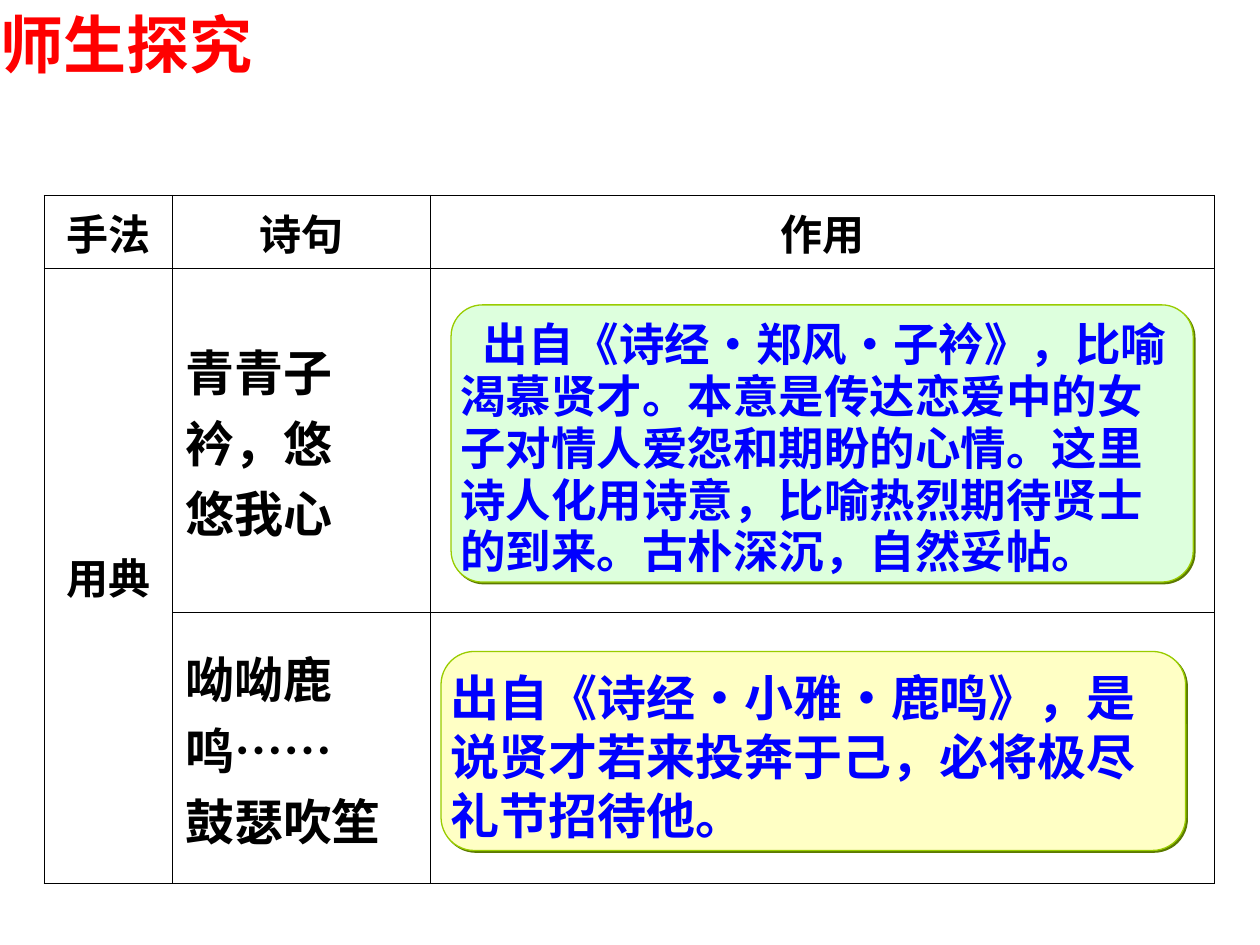
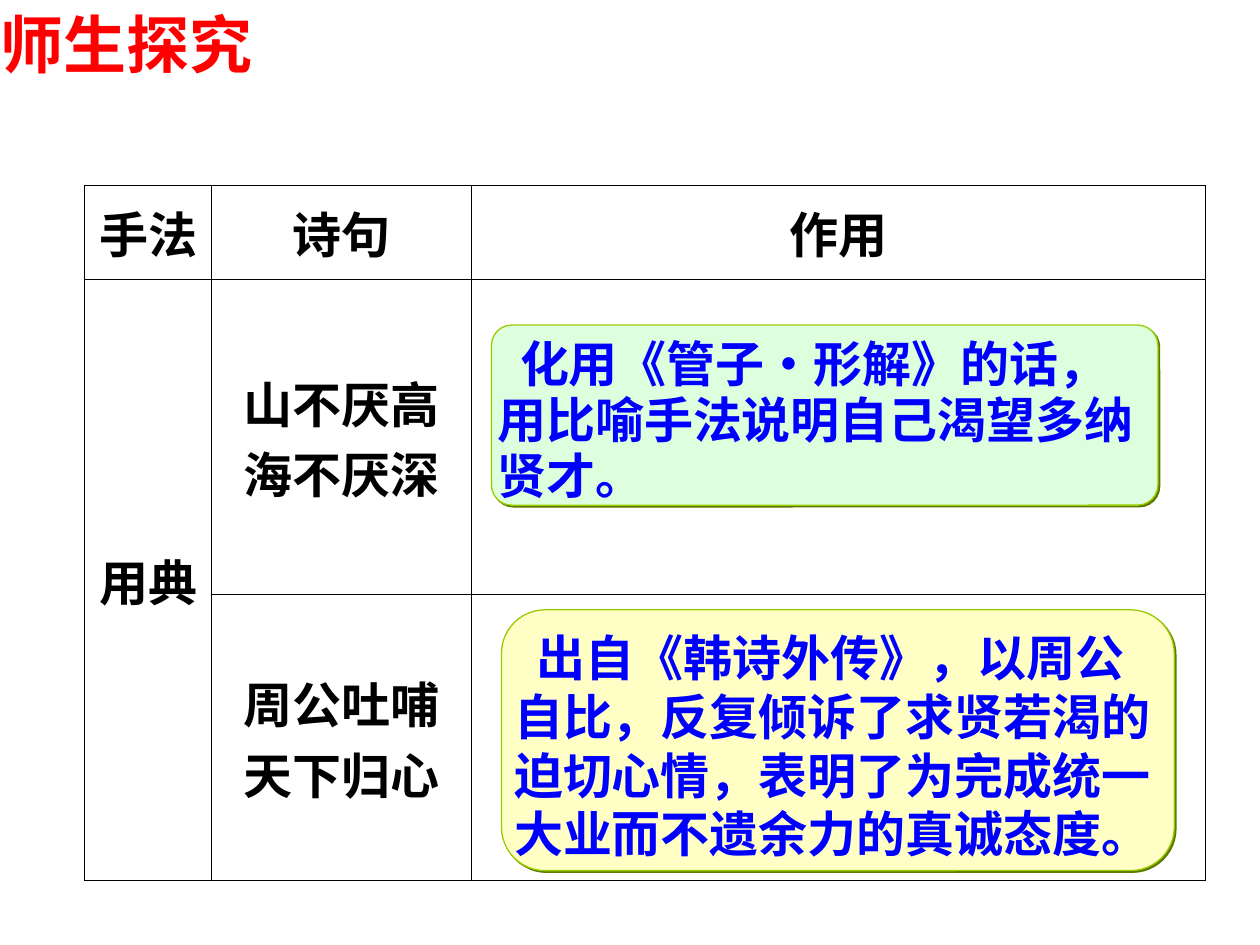
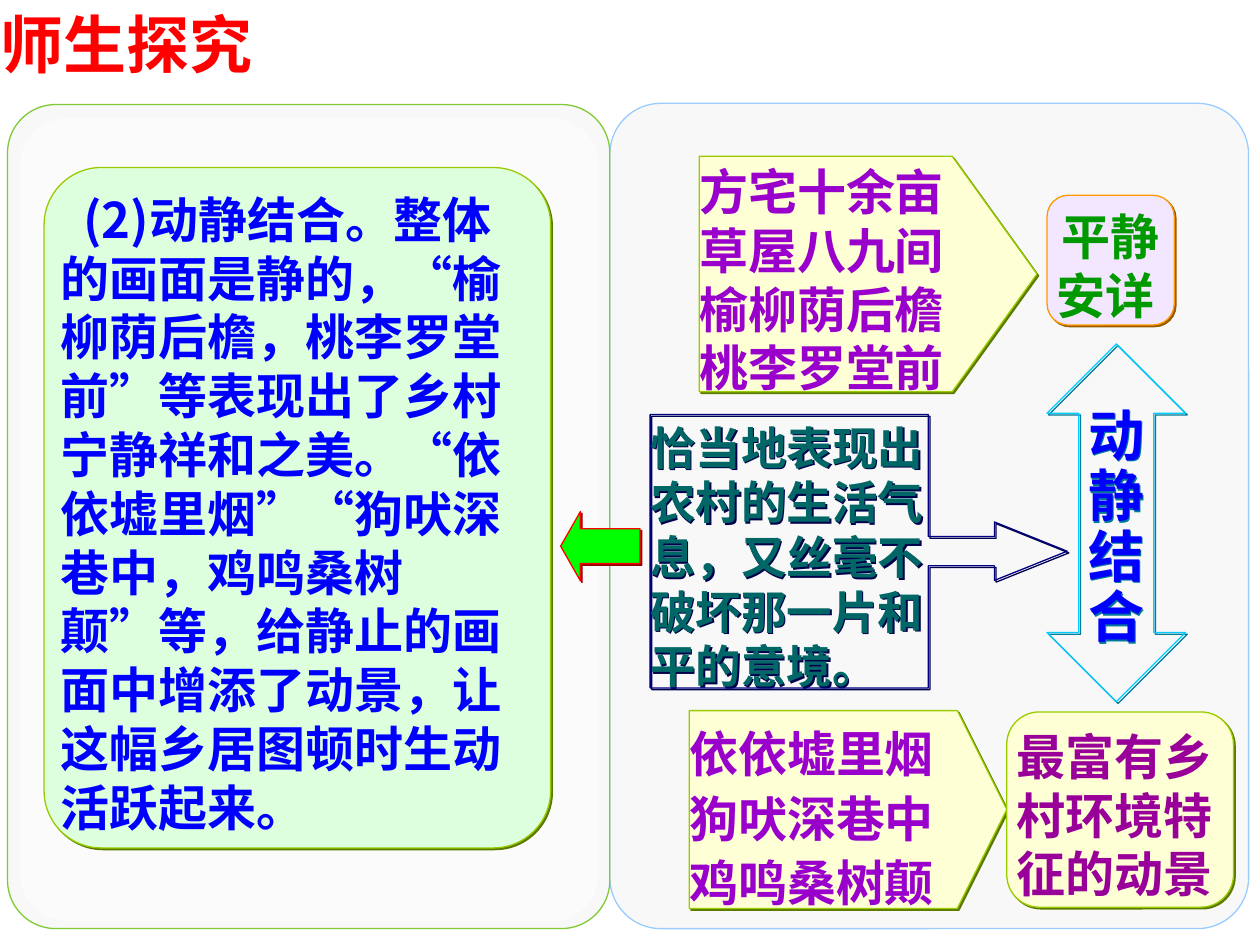
from dataclasses import dataclass
from lxml import etree
from pptx import Presentation
from pptx.dml.color import RGBColor
from pptx.enum.lang import MSO_LANGUAGE_ID
from pptx.enum.shapes import MSO_SHAPE
from pptx.enum.text import MSO_ANCHOR, MSO_AUTO_SIZE, PP_ALIGN
from pptx.oxml.ns import qn
from pptx.util import Inches, Pt


# Theme
class Theme:
    ARIAL, TIMES, CJK = "Arial", "Times New Roman", "Noto Sans CJK SC"
    BLACK, RED, BLUE = "000000", "FF0000", "0000FF"
    PURPLE, PLUM, GREEN, TEAL = "9900CC", "990099", "009900", "006666"
    MINT, CREAM, IVORY = "DDFFDD", "FFFFC5", "FFFFD5"
    LIME, OLIVE, GRAY = "99CC00", "5C7A00", "808080"
    PANEL, WHITE = "F8F8F8", "FFFFFF"
    TITLE, LARGE, BODY, SMALL, HEADER = 36, 32, 28, 26, 24
    LINE = 0.75
    LEADING = 1.2  # line pitch of shape text, in ems
    DROP = 0.08  # top inset that centres the tightened lines
    INDENT = 0.18


@dataclass
class Box:
    at: tuple
    paragraphs: tuple = ()
    preset: MSO_SHAPE = MSO_SHAPE.ROUNDED_RECTANGLE
    adjustments: tuple = (0.167,)
    fill: str = None
    line: str = Theme.LIME
    shadow: str = Theme.OLIVE
    alpha: int = 100
    color: str = Theme.BLUE
    size: int = Theme.BODY
    font: str = Theme.CJK
    spacing: float = 1
    indent: float = 0
    centred: bool = False
    wrap: bool = True


# Content
TITLE = "师生探究"
HEADERS = ("手法", "诗句", "作用")
METHOD = "用典"

TABLE_SLIDES = [
    dict(
        at=(0.35, 1.55), columns=(1.02, 2.05, 6.22), rows=(0.5, 2.73, 2.15),
        label_size=Theme.HEADER, verse_align=PP_ALIGN.LEFT,
        verses=(("青青子", "衿，悠", "悠我心"), ("呦呦鹿鸣……", "鼓瑟吹笙")),
        notes=[
            Box((3.58, 2.42, 5.89, 2.2),
                ("出自《诗经·郑风·子衿》，比喻渴慕贤才。本意是传达恋爱中的女子对情人爱怨和期盼的心情。"
                 "这里诗人化用诗意，比喻热烈期待贤士的到来。古朴深沉，自然妥帖。",),
                adjustments=(0.113,), fill=Theme.MINT, size=Theme.SMALL,
                spacing=0.95, indent=Theme.INDENT),
            Box((3.5, 5.17, 5.91, 1.58),
                ("出自《诗经·小雅·鹿鸣》，是说贤才若来投奔于己，必将极尽礼节招待他。",),
                fill=Theme.CREAM),
        ],
    ),
    dict(
        at=(0.67, 1.47), columns=(1.01, 2.06, 5.83), rows=(0.75, 2.5, 2.27),
        label_size=Theme.BODY, verse_align=PP_ALIGN.CENTER,
        verses=(("山不厌高", "海不厌深"), ("周公吐哺", "天下归心")),
        notes=[
            Box((3.9, 2.58, 5.29, 1.43),
                ("化用《管子·形解》的话，用比喻手法说明自己渴望多纳贤才。",),
                adjustments=(0.113,), fill=Theme.MINT, spacing=0.95,
                indent=Theme.INDENT),
            Box((3.98, 4.84, 5.34, 2.07),
                ("出自《韩诗外传》，以周公自比，反复倾诉了求贤若渴的迫切心情，"
                 "表明了为完成统一大业而不遗余力的真诚态度。",),
                fill=Theme.CREAM, indent=Theme.INDENT),
        ],
    ),
]

PANELS = [
    Box((4.84, 0.82, 5.07, 6.55), adjustments=(0.08,), fill=Theme.PANEL,
        line="99CCFF", shadow=None),
    Box((0.06, 0.83, 4.78, 6.54), adjustments=(0.08,), fill=Theme.PANEL,
        line="80CB35", shadow=None),
    Box((0.16, 0.94, 4.59, 6.37), adjustments=(0.08,), fill=Theme.WHITE,
        line=None, shadow=None, alpha=50),
]

DIAGRAM = [
    Box((0.35, 1.33, 4.02, 5.4),
        ("(2)动静结合。整体的画面是静的，“榆柳荫后檐，桃李罗堂前”等表现出了乡村宁静祥和之美。"
         "“依依墟里烟”“狗吠深巷中，鸡鸣桑树颠”等，给静止的画面中增添了动景，"
         "让这幅乡居图顿时生动活跃起来。",),
        adjustments=(0.113,), fill=Theme.MINT, indent=Theme.INDENT),
    Box((5.47, 5.64, 2.52, 1.57), ("依依墟里烟", "狗吠深巷中", "鸡鸣桑树颠"),
        MSO_SHAPE.PENTAGON, (0.25,), Theme.IVORY, color=Theme.PURPLE,
        spacing=1.1),
    Box((7.99, 5.65, 1.8, 1.55), ("最富有乡村环境特征的动景",),
        fill=Theme.IVORY, color=Theme.PLUM, font=Theme.ARIAL),
    Box((5.55, 1.24, 2.68, 1.87),
        ("方宅十余亩", "草屋八九间", "榆柳荫后檐", "桃李罗堂前"),
        MSO_SHAPE.PENTAGON, (0.36,), Theme.IVORY, color=Theme.PURPLE,
        font=Theme.ARIAL),
    Box((8.31, 1.55, 1.01, 1.03), ("平静安详 ",), fill="F3E7FF",
        line="FF9900", shadow="985B00", color=Theme.GREEN, centred=True),
    Box((8.31, 2.73, 1.1, 2.84), tuple("动静结合"),
        MSO_SHAPE.UP_DOWN_ARROW, (0.679, 0.54), line="00CCFF",
        shadow="007998", size=Theme.LARGE, font=Theme.ARIAL, spacing=0.9,
        centred=True, wrap=False),
    Box((5.16, 3.29, 3.31, 2.17),
        ("恰当地表现出农村的生活气息，又丝毫不破坏那一片和平的意境。",),
        MSO_SHAPE.RIGHT_ARROW_CALLOUT, (0.107, 0.107, 0.266, 0.667),
        line="000080", shadow="00004C", color=Theme.TEAL, size=Theme.SMALL),
    Box((4.45, 4.06, 0.63, 0.55), preset=MSO_SHAPE.LEFT_ARROW,
        adjustments=(0.5, 0.285), fill="00FF00", line=Theme.RED,
        shadow="980000"),
]


# Helpers
def add_shadow(properties, color):
    """Append a small drop shadow to shape or run properties."""
    effects = etree.SubElement(properties, qn("a:effectLst"))
    shadow = etree.SubElement(effects, qn("a:outerShdw"),
                              dist=str(Pt(1.4)), dir="2700000", algn="ctr")
    etree.SubElement(shadow, qn("a:srgbClr"), val=color)


def write(text_frame, lines, size, color, font, align=PP_ALIGN.LEFT,
          leading=None, indent=0, shadow=None):
    for index, line in enumerate(lines):
        paragraph = (text_frame.add_paragraph() if index
                     else text_frame.paragraphs[0])
        paragraph.text = line
        paragraph.alignment = align
        paragraph.space_before = Pt(0)
        if leading:
            paragraph.line_spacing = Pt(round(size * leading, 1))
        if indent:
            properties = paragraph._p.get_or_add_pPr()
            properties.set("marL", "0")
            properties.set("indent", str(Inches(indent)))
        for run in paragraph.runs:
            run.font.size = Pt(size)
            run.font.bold = True
            run.font.language_id = MSO_LANGUAGE_ID.SIMPLIFIED_CHINESE
            run.font.color.rgb = RGBColor.from_string(color)
            properties = run._r.get_or_add_rPr()
            if shadow:
                add_shadow(properties, shadow)
            run.font.name = font
            etree.SubElement(properties, qn("a:ea"), typeface=Theme.CJK)


def set_frame(text_frame, anchor, top, wrap=True):
    text_frame.word_wrap = wrap
    text_frame.auto_size = MSO_AUTO_SIZE.NONE
    text_frame.vertical_anchor = anchor
    text_frame.margin_left = text_frame.margin_right = 0
    text_frame.margin_top, text_frame.margin_bottom = Inches(top), 0


def add_titled_slide(presentation):
    slide = presentation.slides.add_slide(presentation.slide_layouts[5])
    title = slide.shapes.title
    title.left, title.top = 0, 0
    title.width, title.height = Inches(3.35), Inches(0.6)
    set_frame(title.text_frame, MSO_ANCHOR.TOP, Theme.DROP / 2)
    write(title.text_frame, [TITLE], Theme.TITLE, Theme.RED, Theme.ARIAL,
          leading=Theme.LEADING, shadow=Theme.GRAY)
    return slide


def add_box(slide, box):
    shape = slide.shapes.add_shape(box.preset, *map(Inches, box.at))
    for index, value in enumerate(box.adjustments):
        shape.adjustments[index] = value
    if box.fill:
        shape.fill.solid()
        shape.fill.fore_color.rgb = RGBColor.from_string(box.fill)
        if box.alpha < 100:
            color = shape._element.spPr.find(qn("a:solidFill"))[0]
            etree.SubElement(color, qn("a:alpha"), val=str(box.alpha * 1000))
    else:
        shape.fill.background()
    if box.line:
        shape.line.color.rgb = RGBColor.from_string(box.line)
        shape.line.width = Pt(Theme.LINE)
    else:
        shape.line.fill.background()
    if box.shadow:
        add_shadow(shape._element.spPr, box.shadow)
    else:
        shape.shadow.inherit = False
    if box.paragraphs:
        set_frame(shape.text_frame, MSO_ANCHOR.MIDDLE, Theme.DROP, box.wrap)
        write(shape.text_frame, box.paragraphs, box.size, box.color, box.font,
              PP_ALIGN.CENTER if box.centred else PP_ALIGN.LEFT,
              Theme.LEADING * box.spacing, box.indent)


def format_cell(cell):
    cell.vertical_anchor = MSO_ANCHOR.MIDDLE
    properties = cell._tc.get_or_add_tcPr()
    for side in ("a:lnL", "a:lnR", "a:lnT", "a:lnB"):
        border = etree.SubElement(properties, qn(side), w=str(Pt(Theme.LINE)))
        fill = etree.SubElement(border, qn("a:solidFill"))
        etree.SubElement(fill, qn("a:srgbClr"), val=Theme.BLACK)
    cell.fill.background()


def add_verse_table(slide, content):
    columns, rows = content["columns"], content["rows"]
    frame = slide.shapes.add_table(
        len(rows), len(columns), *map(Inches, content["at"]),
        Inches(sum(columns)), Inches(sum(rows)))
    table = frame.table
    table.first_row = table.horz_banding = False
    for column, width in zip(table.columns, columns):
        column.width = Inches(width)
    for row, height in zip(table.rows, rows):
        row.height = Inches(height)
    for cell in table.iter_cells():
        format_cell(cell)
    table.cell(1, 0).merge(table.cell(2, 0))

    labels = [(0, index, header) for index, header in enumerate(HEADERS)]
    for row, column, label in labels + [(1, 0, METHOD)]:
        write(table.cell(row, column).text_frame, [label],
              content["label_size"], Theme.BLACK, Theme.TIMES,
              PP_ALIGN.CENTER)
    for row, verse in enumerate(content["verses"], 1):
        write(table.cell(row, 1).text_frame, verse, Theme.BODY, Theme.BLACK,
              Theme.TIMES, content["verse_align"])


def main():
    presentation = Presentation()
    presentation.slide_width, presentation.slide_height = Inches(10), Inches(7.5)

    # Allusion tables
    for content in TABLE_SLIDES:
        slide = add_titled_slide(presentation)
        add_verse_table(slide, content)
        for note in content["notes"]:
            add_box(slide, note)

    # Motion and stillness diagram
    slide = add_titled_slide(presentation)
    for box in PANELS + DIAGRAM:
        add_box(slide, box)

    presentation.save("out.pptx")


if __name__ == "__main__":
    main()
